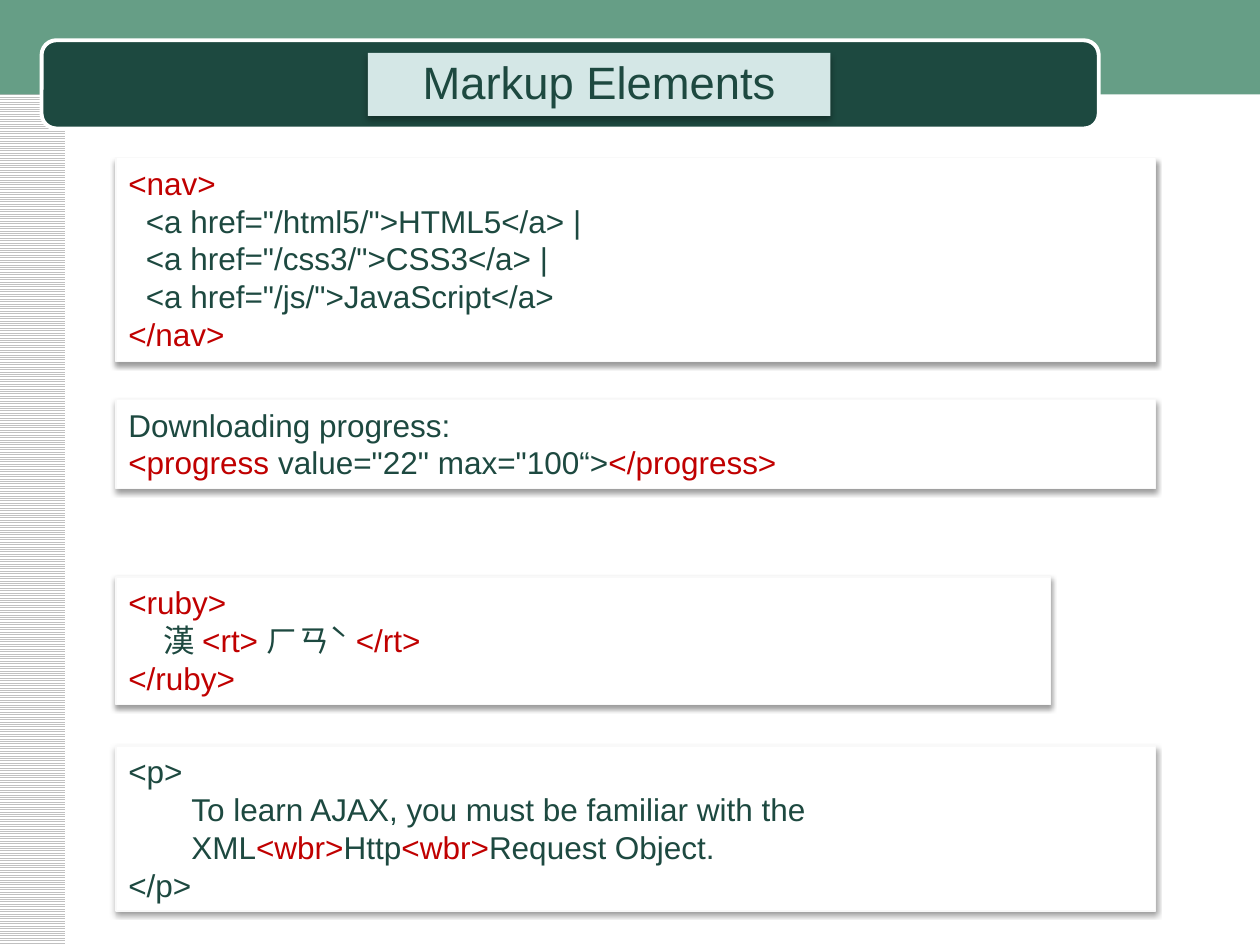
from lxml import etree
from pptx import Presentation
from pptx.dml.color import RGBColor
from pptx.enum.dml import MSO_PATTERN
from pptx.enum.shapes import MSO_SHAPE
from pptx.enum.text import MSO_ANCHOR, MSO_AUTO_SIZE, PP_ALIGN
from pptx.oxml.ns import qn
from pptx.util import Inches, Pt

DARK = RGBColor(0x1D, 0x49, 0x40)
GREEN = RGBColor(0x66, 0x9E, 0x86)
PALE = RGBColor(0xD4, 0xE7, 0xE6)
RED = RGBColor(0xC0, 0x00, 0x00)
WHITE = RGBColor(0xFF, 0xFF, 0xFF)
EDGE = RGBColor(0xF9, 0xF9, 0xF9)
GRAY = RGBColor(0xC0, 0xC0, 0xC0)
FONT = "Arial"
PANEL_LEFT = 0.92

TITLE = "Markup Elements"
PANELS = [
    (1.25, 8.25, 1.62, [
        [("<nav>", RED)],
        [('  <a href="/html5/">HTML5</a> |', DARK)],
        [('  <a href="/css3/">CSS3</a> |', DARK)],
        [('  <a href="/js/">JavaScript</a>', DARK)],
        [("</nav>", RED)],
    ]),
    (3.17, 8.25, 0.71, [
        [("Downloading progress:", DARK)],
        [("<progress ", RED), ('value="22" max="100“>', DARK), ("</progress>", RED)],
    ]),
    (4.58, 7.42, 1.01, [
        [("<ruby>", RED)],
        [("     漢 ", DARK), ("<rt> ", RED), ("ㄏㄢˋ ", DARK), ("</rt>", RED)],
        [("</ruby>", RED)],
    ]),
    (5.92, 8.25, 1.31, [
        [("<p>", DARK)],
        [("To learn AJAX, you must be familiar with the XML", DARK), ("<wbr>", RED),
         ("Http", DARK), ("<wbr>", RED), ("Request Object.", DARK)],
        [("</p>", DARK)],
    ]),
]
INDENTED = "To learn"


def add_box(shapes, kind, box, fill, line=None, width=0.75):
    shape = shapes.add_shape(kind, *map(Inches, box))
    shape.shadow.inherit = False
    shape.fill.solid()
    shape.fill.fore_color.rgb = fill
    if line is None:
        shape.line.fill.background()
    else:
        shape.line.color.rgb = line
        shape.line.width = Pt(width)
    return shape


def add_shadow(shape, blur, distance, opacity):
    shape.shadow.inherit = False
    effects = shape._element.spPr.find(qn("a:effectLst"))
    shadow = etree.SubElement(effects, qn("a:outerShdw"), blurRad=str(Pt(blur)),
                              dist=str(Pt(distance)), dir="5400000", rotWithShape="0")
    color = etree.SubElement(shadow, qn("a:srgbClr"), val="000000")
    etree.SubElement(color, qn("a:alpha"), val=str(opacity * 1000))


def style(run, size, color):
    run.font.name = FONT
    run.font.size = Pt(size)
    run.font.color.rgb = color


def add_frame(shapes):
    stripes = add_box(shapes, MSO_SHAPE.RECTANGLE, (-0.01, 0, 0.53, 7.5), WHITE)
    stripes.fill.patterned()
    stripes.fill.pattern = MSO_PATTERN.LIGHT_HORIZONTAL
    stripes.fill.fore_color.rgb = GRAY
    stripes.fill.back_color.rgb = WHITE
    add_box(shapes, MSO_SHAPE.RECTANGLE, (0, 0, 10.01, 0.75), GREEN)
    banner = add_box(shapes, MSO_SHAPE.ROUNDED_RECTANGLE, (0.33, 0.32, 8.39, 0.7), DARK, WHITE, 2.25)
    banner.adjustments[0] = 0.167


def add_panel(shapes, top, width, height, lines):
    panel = add_box(shapes, MSO_SHAPE.RECTANGLE, (PANEL_LEFT, top, width, height), WHITE, EDGE)
    add_shadow(panel, 3.1, 1.6, 38)
    frame = panel.text_frame
    frame.word_wrap = True
    frame.vertical_anchor = MSO_ANCHOR.TOP
    for index, line in enumerate(lines):
        paragraph = frame.paragraphs[0] if index == 0 else frame.add_paragraph()
        paragraph.alignment = PP_ALIGN.LEFT
        if line[0][0].startswith(INDENTED):
            paragraph.level = 1
            paragraph._p.get_or_add_pPr().set("marL", str(Inches(0.5)))
        for text, color in line:
            run = paragraph.add_run()
            run.text = text
            style(run, 18, color)


def place_title(slide):
    title = slide.shapes.title
    title.left, title.top, title.width, title.height = map(Inches, (2.92, 0.42, 3.67, 0.5))
    title.fill.solid()
    title.fill.fore_color.rgb = PALE
    add_shadow(title, 3.5, 2.2, 32)
    frame = title.text_frame
    frame.text = TITLE
    frame.auto_size = MSO_AUTO_SIZE.NONE
    frame.vertical_anchor = MSO_ANCHOR.MIDDLE
    paragraph = frame.paragraphs[0]
    paragraph.alignment = PP_ALIGN.CENTER
    paragraph.line_spacing = 0.9
    style(paragraph.runs[0], 25.9, DARK)
    slide.shapes._spTree.append(title._element)


def main():
    presentation = Presentation()
    presentation.slide_width, presentation.slide_height = Inches(10), Inches(7.5)
    slide = presentation.slides.add_slide(presentation.slide_layouts[5])
    add_frame(slide.shapes)
    for panel in PANELS:
        add_panel(slide.shapes, *panel)
    place_title(slide)
    presentation.save("out.pptx")


if __name__ == "__main__":
    main()
